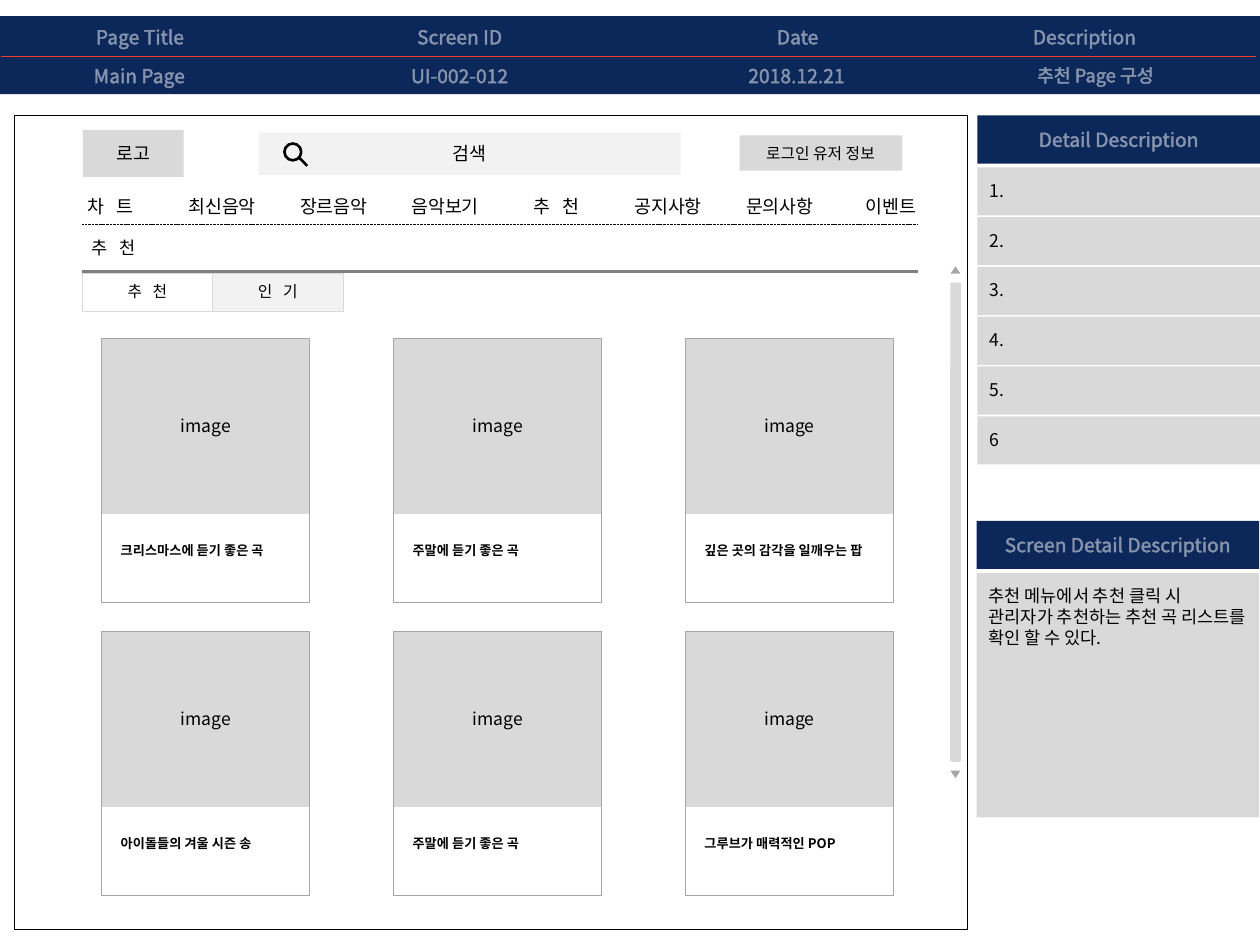
"""Build the wireframe slide of a music recommendation page."""
from lxml.etree import SubElement
from pptx import Presentation
from pptx.dml.color import RGBColor
from pptx.enum.dml import MSO_LINE
from pptx.enum.shapes import MSO_CONNECTOR, MSO_SHAPE
from pptx.enum.text import MSO_AUTO_SIZE, PP_ALIGN
from pptx.oxml.ns import qn
from pptx.util import Pt

FONT = "Noto Sans CJK KR"
NAVY = RGBColor(0x0C, 0x27, 0x59)
WHITE = RGBColor(0xFF, 0xFF, 0xFF)
BLACK = RGBColor(0x00, 0x00, 0x00)
RED = RGBColor(0xF3, 0x3A, 0x24)
PALE = RGBColor(0xF2, 0xF2, 0xF2)
LIGHT = RGBColor(0xD9, 0xD9, 0xD9)
MID = RGBColor(0xA6, 0xA6, 0xA6)
DARK = RGBColor(0x80, 0x80, 0x80)

deck = Presentation()
deck.slide_width, deck.slide_height = Pt(720), Pt(540)
page = deck.slides.add_slide(deck.slide_layouts[6])


def add_box(left, top, width, height, fill=None, line=None, weight=0.25, kind=MSO_SHAPE.RECTANGLE):
    box = page.shapes.add_shape(kind, Pt(left), Pt(top), Pt(width), Pt(height))
    box.shadow.inherit = False
    if fill is None:
        box.fill.background()
    else:
        box.fill.solid()
        box.fill.fore_color.rgb = fill
    if line is None:
        box.line.fill.background()
    else:
        box.line.color.rgb = line
        box.line.width = Pt(weight)
    return box


def add_label(text, left, top, width, height, size, color=BLACK, align=PP_ALIGN.CENTER, bold=None):
    label = page.shapes.add_textbox(Pt(left), Pt(top), Pt(width), Pt(height))
    frame = label.text_frame
    frame.word_wrap = True
    frame.auto_size = MSO_AUTO_SIZE.SHAPE_TO_FIT_TEXT
    frame.text = text
    para = frame.paragraphs[0]
    para.alignment = align
    span = para.runs[0]
    span.font.name = FONT
    span.font.size = Pt(size)
    span.font.bold = bold
    span.font.color.rgb = color
    props = span._r.get_or_add_rPr()
    SubElement(props, qn("a:ea"), typeface=FONT)
    outline = SubElement(props, qn("a:ln"), w=str(Pt(0.75)))
    tint = SubElement(SubElement(outline, qn("a:solidFill")), qn("a:srgbClr"), val=str(WHITE))
    SubElement(tint, qn("a:alpha"), val="50000")
    props.insert(0, outline)


add_box(0, 9.2, 720, 44.6, NAVY)
for text, left, top, width, size in [
    ("Page Title", 2, 10.8, 156, 11),
    ("Screen ID", 192.4, 10.8, 140.5, 11),
    ("Date", 368, 10.8, 175.5, 11),
    ("Description", 578, 10.8, 83.5, 11),
    ("Main Page", 1.6, 33, 156, 11),
    ("UI-002-012", 192.4, 33, 140.5, 11),
    ("2018.12.21", 367.4, 33, 175.5, 11),
    ("추천 Page 구성", 557.4, 33, 137, 10.5),
]:
    add_label(text, left, top, width, 20.6, size, WHITE)

add_box(558.5, 66, 161.5, 27.5, NAVY)
add_label("Detail Description", 586, 69.4, 106.5, 20.6, 11, WHITE)
for index, number in enumerate(["1.", "2.", "3.", "4.", "5.", "6"]):
    top = 95.7 + 28.44 * index
    add_box(558.5, top, 161.5, 27.5, LIGHT)
    add_label(number, 558.5, top + 3.5, 106.6, 19.4, 10, align=PP_ALIGN.LEFT)

add_box(558, 297.6, 161.5, 27.5, NAVY)
add_label("Screen Detail Description", 564.5, 301, 148.5, 20.6, 11, WHITE)
add_box(558, 327.5, 161.5, 139.6, LIGHT)
add_label("추천 메뉴에서 추천 클릭 시 관리자가 추천하는 추천 곡 리스트를 확인 할 수 있다.",
          558, 331, 161.5, 43.6, 10, align=PP_ALIGN.LEFT)

add_box(8.4, 66, 544.5, 465, line=BLACK, weight=0.5)
add_box(47.4, 74.3, 57.6, 26.8, LIGHT)
add_label("로고", 49, 77.5, 54.6, 20.6, 10.5)
add_box(422.6, 77.3, 93, 20.2, LIGHT)
add_label("로그인 유저 정보", 424.8, 78.5, 88, 18.2, 9)
add_box(148, 75.6, 241, 24.4, PALE)
add_label("검색", 215, 77.6, 106.6, 20, 10.5)
add_box(162.5, 82, 9.6, 9.6, line=BLACK, weight=1.5, kind=MSO_SHAPE.OVAL)

add_box(543, 161.5, 6.2, 273.8, LIGHT, kind=MSO_SHAPE.ROUNDED_RECTANGLE)
for top, angle in [(152.2, 0), (440.4, 180)]:
    arrow = add_box(543.2, top, 5.6, 4.2, MID, kind=MSO_SHAPE.ISOSCELES_TRIANGLE)
    arrow.rotation = angle

menu = ["차   트", "최신음악", "장르음악", "음악보기", "추   천", "공지사항", "문의사항", "이벤트"]
for index, text in enumerate(menu):
    add_label(text, 10 + 63.7 * index, 107.8, 106.6, 20, 10.5)
add_label("추   천", 25, 131.8, 80, 19.4, 10)

for x1, y1, x2, y2, color, weight, dash in [
    (0.6, 32.2, 718, 32.2, RED, 0.75, None),
    (170.6, 89.8, 175.6, 94.8, BLACK, 1.5, None),
    (46.9, 128.3, 524.5, 128.3, BLACK, 0.2, MSO_LINE.SQUARE_DOT),
    (46.9, 155.2, 524.5, 155.2, DARK, 1.5, None),
]:
    rule = page.shapes.add_connector(MSO_CONNECTOR.STRAIGHT, Pt(x1), Pt(y1), Pt(x2), Pt(y2))
    rule.line.color.rgb = color
    rule.line.width = Pt(weight)
    rule.line.dash_style = dash
    SubElement(rule._element.spPr, qn("a:effectLst"))

for index, (text, fill, opacity) in enumerate([("추   천", WHITE, 30), ("인   기", PALE, 100)]):
    left = 47 + 74.5 * index
    tab = add_box(left, 156.2, 74.4, 21.4, fill, LIGHT)
    if opacity < 100:
        tint = tab._element.spPr.find(qn("a:solidFill")).find(qn("a:srgbClr"))
        SubElement(tint, qn("a:alpha"), val=str(opacity * 1000))
    add_label(text, left + 0.7, 157.5, 73, 18.2, 9)

albums = [
    "크리스마스에 듣기 좋은 곡", "주말에 듣기 좋은 곡", "깊은 곳의 감각을 일깨우는 팝",
    "아이돌들의 겨울 시즌 송", "주말에 듣기 좋은 곡", "그루브가 매력적인 POP",
]
for index, title in enumerate(albums):
    row, column = divmod(index, 3)
    left, top = 58 + 166.8 * column, 193.5 + 167.2 * row
    add_label(title, left + 3.9, top + 113, 108, 16.6, 7.5, align=PP_ALIGN.LEFT, bold=True)
    add_box(left, top, 119, 100, LIGHT, LIGHT)
    add_label("image", left + 6.3, top + 40.4, 106.6, 19.4, 10)
    add_box(left, top, 119, 150.6, line=MID)

deck.save("out.pptx")
